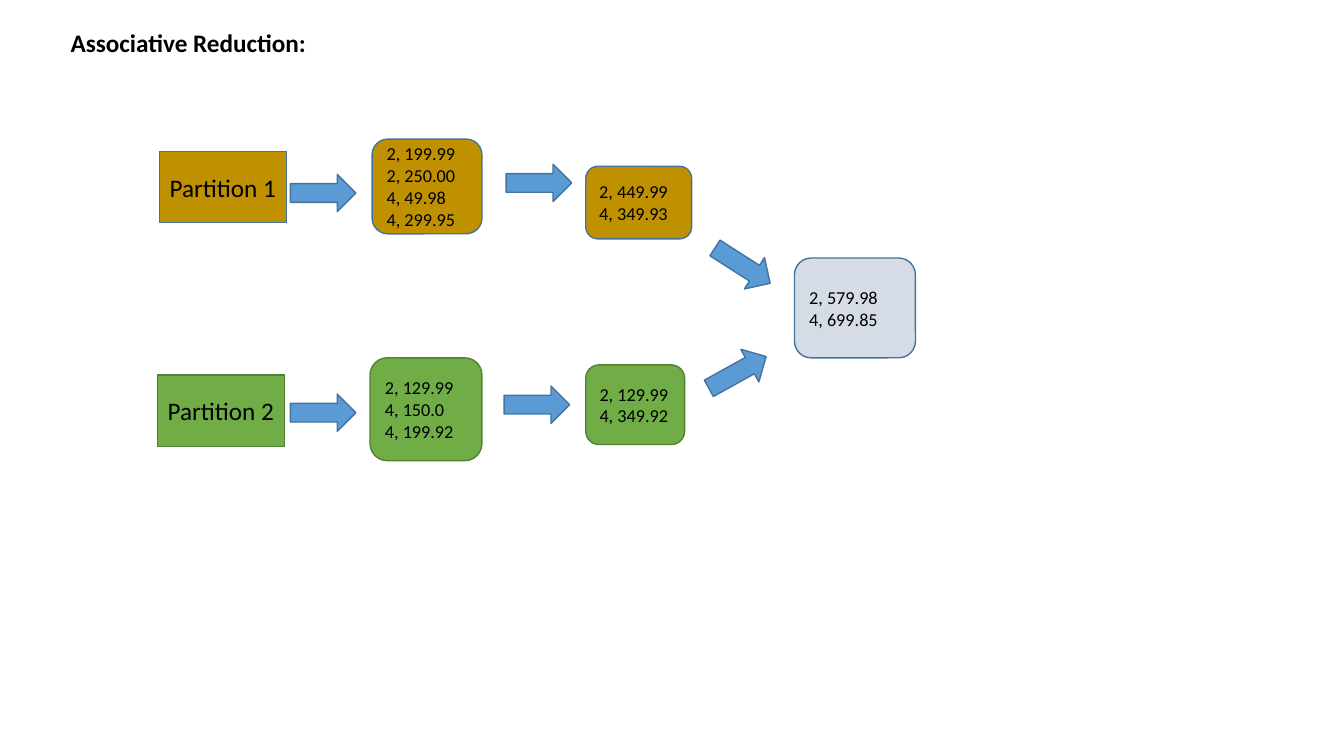
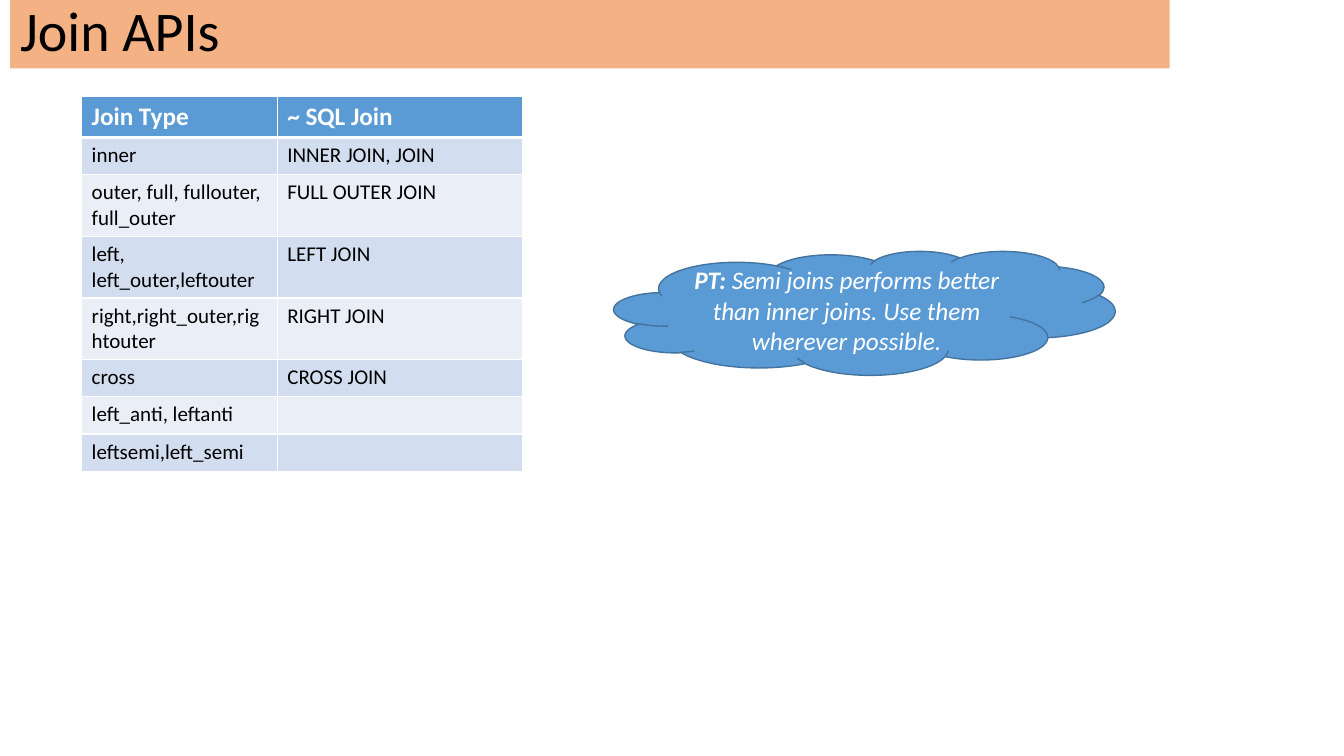
from lxml import etree
from pptx import Presentation
from pptx.dml.color import RGBColor
from pptx.enum.shapes import MSO_SHAPE as Preset
from pptx.enum.text import MSO_ANCHOR as Anchor, MSO_AUTO_SIZE as AutoSize, PP_ALIGN as Align
from pptx.oxml.ns import qn
from pptx.util import Pt

PX = 9144
FONT = "Calibri"
COLORS = {
    "text": "000000",
    "white": "FFFFFF",
    "blue": "5B9BD5",
    "blue_line": "43739E",
    "gold": "BF9000",
    "green": "70AD47",
    "green_line": "538035",
    "grey": "D6DCE5",
    "band": "F4B183",
    "row_dark": "D2DEEF",
    "row_light": "EAEFF7",
}
ARROW_SIZE = (65, 37)

LANES = [
    {
        "box": (156, 138),
        "colors": ("gold", "blue_line"),
        "partition": ("Partition 1", (2, 12, 126, 71)),
        "groups": [
            (["2, 199.99", "2, 250.00", "4, 49.98", "4, 299.95"], (213, 0, 109, 94)),
            (["2, 449.99", "4, 349.93"], (425, 27, 105, 72)),
        ],
        "arrows": [(132, 35, 0), (346, 25, 0), (548, 107, 32.7)],
    },
    {
        "box": (156, 355),
        "colors": ("green", "green_line"),
        "partition": ("Partition 2", (0, 17, 126, 71)),
        "groups": [
            (["2, 129.99", "4, 150.0", "4, 199.92"], (211, 0, 111, 102)),
            (["2, 129.99", "4, 349.92"], (425, 7, 98, 79)),
        ],
        "arrows": [(132, 36, 0), (344, 28, 0), (543, -4, 331)],
    },
]

JOINS = [
    ("Join Type", "~ SQL Join"),
    ("inner", "INNER JOIN, JOIN"),
    ("outer, full, fullouter, full_outer", "FULL OUTER JOIN"),
    ("left, left_outer,leftouter", "LEFT JOIN"),
    ("right,right_outer,rightouter", "RIGHT JOIN"),
    ("cross", "CROSS JOIN"),
    ("left_anti, leftanti", ""),
    ("leftsemi,left_semi", ""),
]
JOIN_COLUMNS = (194, 243)
JOIN_ROWS = (40, 37, 61, 61, 61, 37, 37, 37)


def color(name):
    return RGBColor.from_string(COLORS[name])


def emu(lengths):
    return [round(length * PX) for length in lengths]


def within(box, offsets):
    left, top, width, height = offsets
    return box[0] + left, box[1] + top, width, height


def add_run(paragraph, text, size, color_name="text", bold=False, italic=False):
    run = paragraph.add_run()
    run.text = text
    font = run.font
    font.name, font.size = FONT, Pt(size)
    font.bold, font.italic = bold, italic
    font.color.rgb = color(color_name)


def set_title(slide, text, box, size, bold=False, band=None):
    title = slide.shapes.title
    title.left, title.top, title.width, title.height = emu(box)
    if band:
        title.fill.solid()
        title.fill.fore_color.rgb = color(band)
    frame = title.text_frame
    frame.word_wrap = True
    frame.auto_size = AutoSize.NONE
    frame.vertical_anchor = Anchor.MIDDLE
    paragraph = frame.paragraphs[0]
    paragraph.alignment = Align.LEFT
    paragraph.line_spacing = 0.9
    add_run(paragraph, text, size, bold=bold)


def add_outlined(slide, preset, box, fill="blue", line="blue_line"):
    shape = slide.shapes.add_shape(preset, *emu(box))
    shape.shadow.inherit = False
    shape.fill.solid()
    shape.fill.fore_color.rgb = color(fill)
    shape.line.color.rgb = color(line)
    shape.line.width = Pt(1)
    return shape


def add_records(slide, box, records, colors):
    frame = add_outlined(slide, Preset.ROUNDED_RECTANGLE, box, *colors).text_frame
    frame.margin_top = frame.margin_bottom = 0
    for index, record in enumerate(records):
        paragraph = frame.add_paragraph() if index else frame.paragraphs[0]
        paragraph.alignment = Align.LEFT
        add_run(paragraph, record, 13)


def add_partition(slide, box, label, colors):
    frame = add_outlined(slide, Preset.RECTANGLE, box, *colors).text_frame
    frame.margin_left = frame.margin_right = 0
    frame.paragraphs[0].alignment = Align.CENTER
    add_run(frame.paragraphs[0], label, 18)


def add_lane(slide, box, lane):
    label, offsets = lane["partition"]
    add_partition(slide, within(box, offsets), label, lane["colors"])
    for records, offsets in lane["groups"]:
        add_records(slide, within(box, offsets), records, lane["colors"])
    for left, top, angle in lane["arrows"]:
        arrow_box = within(box, (left, top, *ARROW_SIZE))
        add_outlined(slide, Preset.RIGHT_ARROW, arrow_box).rotation = angle


def set_borders(cell, bottom_width):
    properties = cell._tc.get_or_add_tcPr()
    for side, width in (("L", 1), ("R", 1), ("T", 1), ("B", bottom_width)):
        border = etree.SubElement(properties, qn(f"a:ln{side}"), w=str(Pt(width)))
        fill = etree.SubElement(border, qn("a:solidFill"))
        etree.SubElement(fill, qn("a:srgbClr"), val=COLORS["white"])


def add_join_table(slide, box):
    left, top = box
    size = (sum(JOIN_COLUMNS), sum(JOIN_ROWS))
    table = slide.shapes.add_table(
        len(JOINS), len(JOIN_COLUMNS), *emu((left, top, *size))
    ).table
    for column, width in zip(table.columns, emu(JOIN_COLUMNS)):
        column.width = width
    for number, (row, height, texts) in enumerate(zip(table.rows, emu(JOIN_ROWS), JOINS)):
        row.height = height
        header = number == 0
        size = 18 if header else 15
        fill = "blue" if header else ("row_light", "row_dark")[number % 2]
        for cell, text in zip(row.cells, texts):
            set_borders(cell, 3 if header else 1)
            cell.fill.solid()
            cell.fill.fore_color.rgb = color(fill)
            paragraph = cell.text_frame.paragraphs[0]
            if text:
                add_run(paragraph, text, size, "white" if header else "text", bold=header)
            else:
                etree.SubElement(paragraph._p, qn("a:endParaRPr"), sz=str(size * 100))


def add_tip(slide, box):
    paragraph = add_outlined(slide, Preset.CLOUD, box).text_frame.paragraphs[0]
    paragraph.alignment = Align.CENTER
    add_run(paragraph, "PT: ", 18, "white", bold=True, italic=True)
    tip = "Semi joins performs better than inner joins. Use them wherever possible."
    add_run(paragraph, tip, 18, "white", italic=True)


def build_reduction(slide):
    set_title(slide, "Associative Reduction:", (60, 24, 309, 40), 18, bold=True)
    for lane in LANES:
        add_lane(slide, lane["box"], lane)
    add_records(slide, (788, 256, 120, 99), ["2, 579.98", "4, 699.85"], ("grey", "blue_line"))


def build_joins(slide):
    set_title(slide, "Join APIs", (10, -2, 1150, 70), 40, band="band")
    add_join_table(slide, (81, 96))
    add_tip(slide, (609, 249, 497, 123))


def main():
    deck = Presentation()
    deck.slide_width, deck.slide_height = emu((1333, 750))
    title_only = deck.slide_layouts[5]
    for build in (build_reduction, build_joins):
        build(deck.slides.add_slide(title_only))
    deck.save("out.pptx")


if __name__ == "__main__":
    main()
